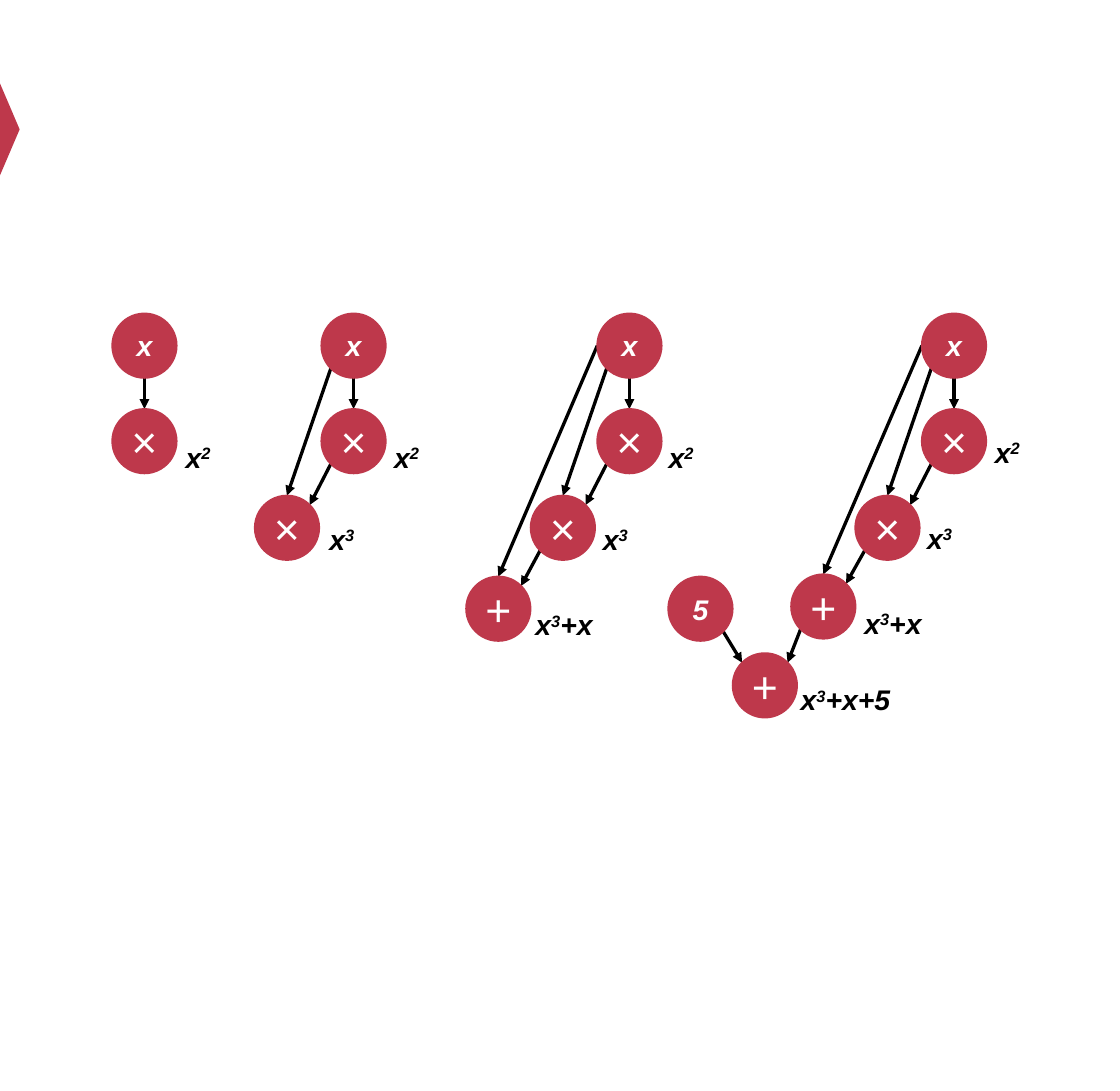
from math import cos, pi, sin

from lxml.etree import SubElement
from pptx import Presentation
from pptx.dml.color import RGBColor
from pptx.enum.shapes import MSO_CONNECTOR, MSO_SHAPE
from pptx.enum.text import MSO_ANCHOR, MSO_AUTO_SIZE, PP_ALIGN
from pptx.oxml.ns import qn
from pptx.util import Pt

COLORS = {"accent": "BE384B", "ink": "000000", "light": "FFFFFF"}
FONT = "Arial"
POINTS_PER_CM = 72 / 2.54
SLIDE_WIDTH = 39 * POINTS_PER_CM
SLIDE_HEIGHT = 38 * POINTS_PER_CM
NODE_SIZE = 63.36
LABEL_HEIGHT = 41
GRAPH_TOP = 309.6

# Angles of the points on a node's rim, in eighths of a turn clockwise from the right
RIM = {"bottom right": 1, "bottom": 2, "bottom left": 3, "left": 4,
       "top left": 5, "top": 6, "top right": 7}

SYMBOLS = {"input": "x", "square": "×", "cube": "×", "plus": "+", "five": "5", "sum": "+"}

# Exponent, rest of the expression, box width
LABELS = {
    "square": ("2", "", 67.7),
    "cube": ("3", "", 67.7),
    "plus": ("3", "+x", 91.4),
    "sum": ("3", "+x+5", 123.1),
}

ARROWS = [
    ("input", "bottom", "square", "top"),
    ("square", "bottom left", "cube", "top right"),
    ("input", "bottom left", "cube", "top"),
    ("cube", "bottom left", "plus", "top right"),
    ("input", "left", "plus", "top"),
    ("plus", "bottom left", "sum", "top right"),
    ("five", "bottom right", "sum", "top left"),
]

# Node offsets from the input node of each graph
PLACES = {
    "input": (0, 0),
    "square": (0, 94.32),
    "cube": (-65.7, 179.8),
    "plus": (-129.4, 259.7),
    "five": (-250.3, 259.7),
    "sum": (-186.7, 335.4),
}

# Left of the input node, nodes, and label offsets (centre x, top) from their nodes
GRAPHS = [
    (110.88, ["input", "square"], {"square": (84.6, 27)}),
    (317.3, ["input", "square", "cube"], {"square": (84, 27), "cube": (85.7, 22.3)}),
    (589.6, ["input", "square", "cube", "plus"],
     {"square": (82.6, 27), "cube": (83.5, 22.3), "plus": (96.6, 27)}),
    (910, list(PLACES),
     {"square": (84.2, 22), "cube": (83.2, 21.6), "plus": (100.4, 27.4),
      "sum": (111.2, 25.2)}),
]


def color(name):
    return RGBColor.from_string(COLORS[name])


def format_run(run, size, color_name, emphasis=True):
    run.font.name = FONT
    run.font.size = Pt(size)
    run.font.color.rgb = color(color_name)
    run.font.bold = emphasis
    run.font.italic = emphasis


def rim_point(place, side):
    left, top = place
    angle = RIM[side] * pi / 4
    radius = NODE_SIZE / 2
    return left + radius * (1 + cos(angle)), top + radius * (1 + sin(angle))


def add_arrow(slide, start, end):
    connector = slide.shapes.add_connector(
        MSO_CONNECTOR.STRAIGHT, *(Pt(value) for value in (*start, *end)))
    connector.line.color.rgb = color("ink")
    connector.line.width = Pt(3.25)
    SubElement(connector.line._get_or_add_ln(), qn("a:tailEnd"), type="triangle")
    SubElement(connector._element.spPr, qn("a:effectLst"))


def add_label(slide, center, top, exponent, rest, width):
    box = slide.shapes.add_textbox(
        Pt(center - width / 2), Pt(top), Pt(width), Pt(LABEL_HEIGHT))
    box.text_frame.word_wrap = True
    box.text_frame.auto_size = MSO_AUTO_SIZE.SHAPE_TO_FIT_TEXT
    paragraph = box.text_frame.paragraphs[0]
    paragraph.alignment = PP_ALIGN.CENTER
    for text in filter(None, ("x", exponent, rest)):
        run = paragraph.add_run()
        run.text = text
        format_run(run, 28, "ink")
    paragraph.runs[1]._r.get_or_add_rPr().set("baseline", "30000")


def add_node(slide, place, symbol):
    left, top = place
    node = slide.shapes.add_shape(
        MSO_SHAPE.OVAL, Pt(left), Pt(top), Pt(NODE_SIZE), Pt(NODE_SIZE))
    node.shadow.inherit = False
    node.fill.solid()
    node.fill.fore_color.rgb = color("accent")
    node.line.color.rgb = color("accent")
    node.line.width = Pt(2)
    frame = node.text_frame
    frame.word_wrap = False
    frame.vertical_anchor = MSO_ANCHOR.MIDDLE
    frame.text = symbol
    paragraph = frame.paragraphs[0]
    paragraph.alignment = PP_ALIGN.CENTER
    is_operator = symbol in "×+"
    format_run(paragraph.runs[0], 44 if is_operator else 28, "light", not is_operator)


def add_graph(slide, left, top, nodes, label_offsets):
    places = {name: (left + PLACES[name][0], top + PLACES[name][1]) for name in nodes}
    if "sum" in places:
        # The last graph lifts its first addition slightly above the constant
        plus_left, plus_top = places["plus"]
        places["plus"] = (plus_left + 0.4, plus_top - 2.16)
    for source, source_side, target, target_side in ARROWS:
        if source in places and target in places:
            add_arrow(slide, rim_point(places[source], source_side),
                      rim_point(places[target], target_side))
    for name, (center, drop) in label_offsets.items():
        node_left, node_top = places[name]
        add_label(slide, node_left + center, node_top + drop, *LABELS[name])
    for name, place in places.items():
        add_node(slide, place, SYMBOLS[name])


def add_edge_marker(slide, left, top, width, height):
    """Draw a triangle pointing right that fills the given box."""
    shift = (height - width) / 2
    marker = slide.shapes.add_shape(
        MSO_SHAPE.ISOSCELES_TRIANGLE, Pt(left - shift), Pt(top + shift),
        Pt(height), Pt(width))
    marker.rotation = 90
    marker.shadow.inherit = False
    marker.fill.solid()
    marker.fill.fore_color.rgb = color("accent")
    marker.line.fill.background()


def main():
    presentation = Presentation()
    presentation.slide_width = Pt(SLIDE_WIDTH)
    presentation.slide_height = Pt(SLIDE_HEIGHT)
    slide = presentation.slides.add_slide(presentation.slide_layouts[6])
    add_edge_marker(slide, 0, 82.4, 19.4, 90.7)
    for left, nodes, label_offsets in GRAPHS:
        add_graph(slide, left, GRAPH_TOP, nodes, label_offsets)
    presentation.save("out.pptx")


if __name__ == "__main__":
    main()
